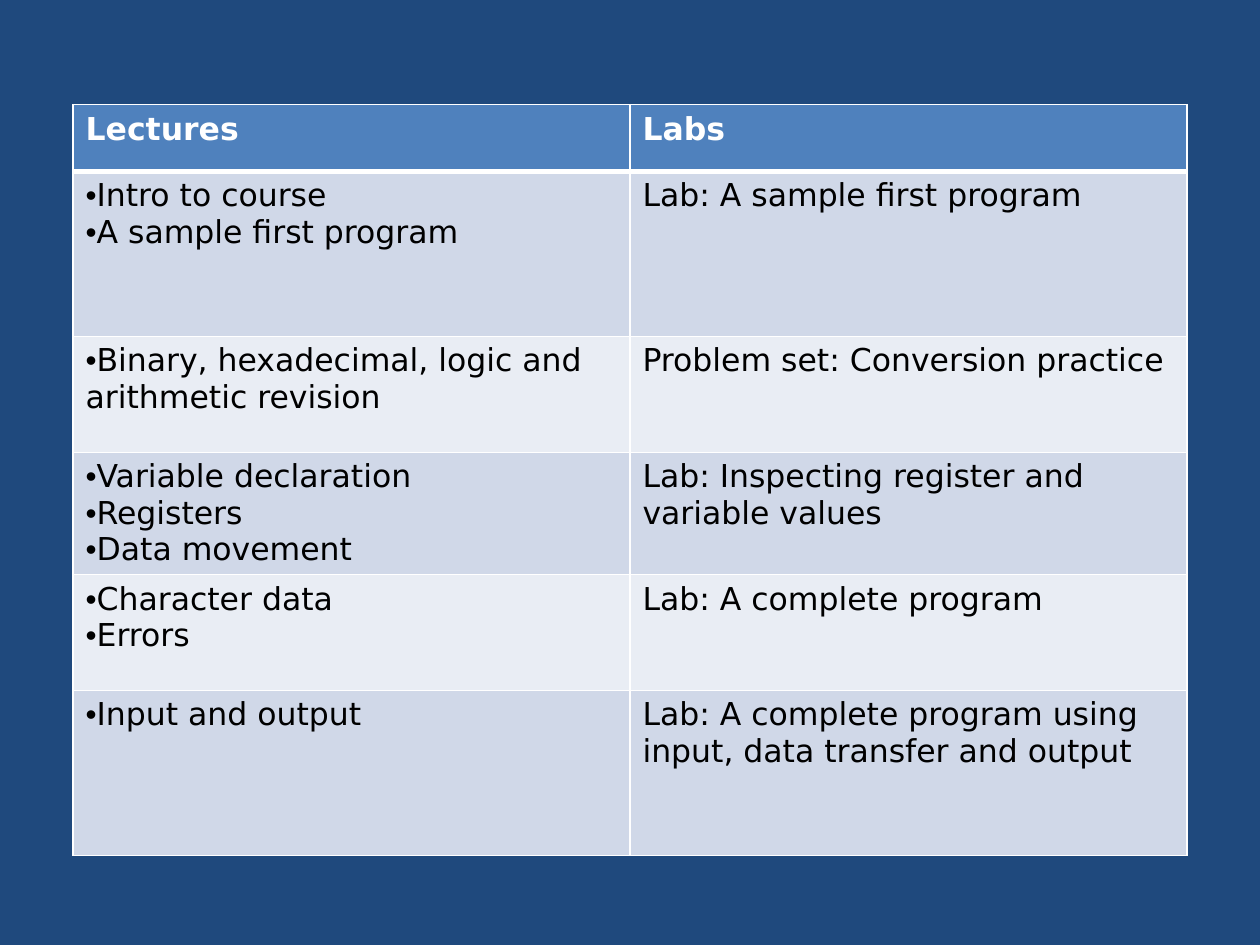
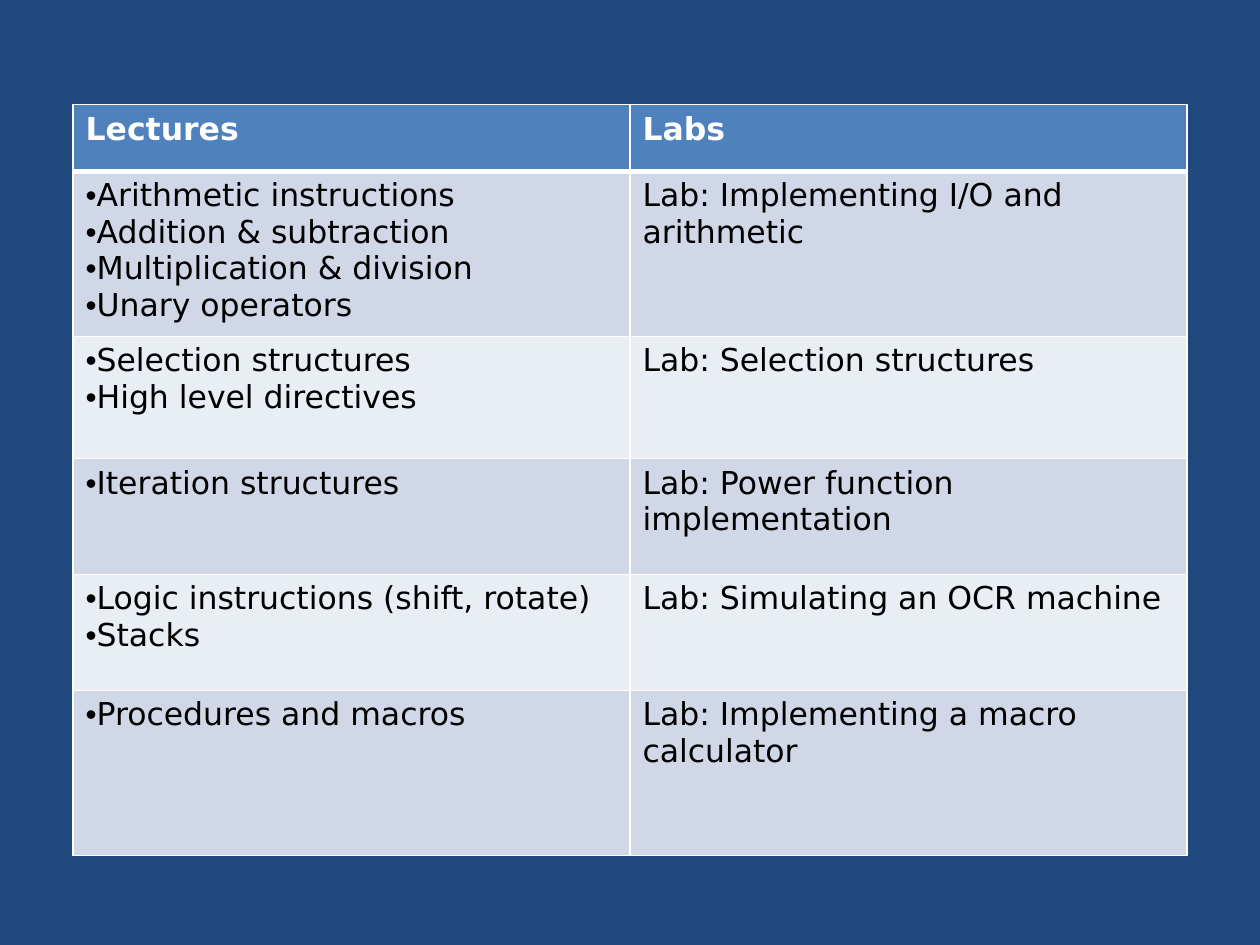
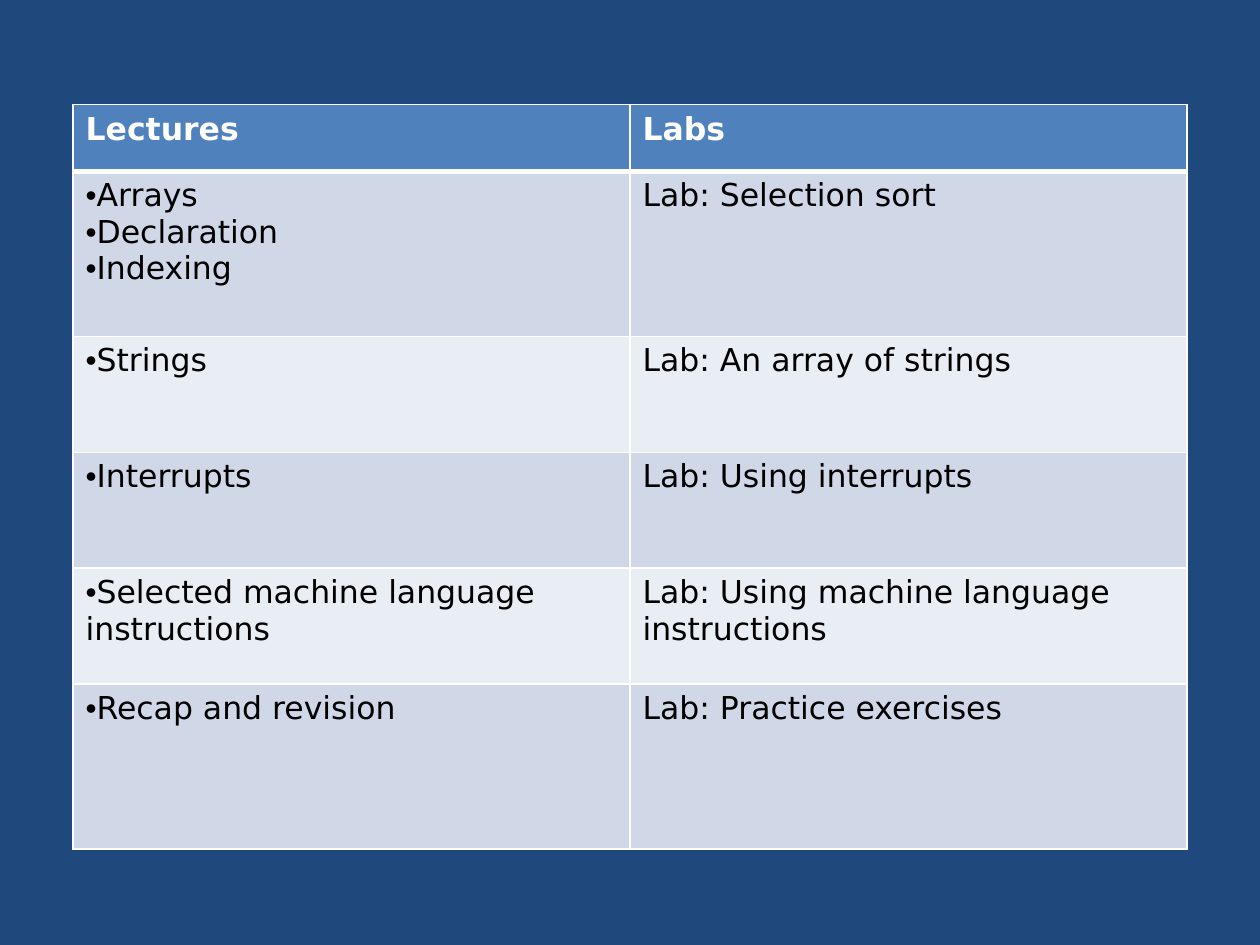
from lxml import etree
from pptx import Presentation
from pptx.dml.color import RGBColor
from pptx.oxml.ns import qn
from pptx.util import Inches, Pt

# Shared look
HUES = {"back": "1F497D", "head": "4F81BD", "odd": "D0D8E8",
        "even": "E9EDF4", "line": "FFFFFF", "text": "000000"}
FONT = "DejaVu Sans"
SIZE = Pt(18)
LEFT, TOP, COL = 0.58, 0.83, 4.42
ROWS = [0.53, 1.31, 0.92, 0.92, 0.92, 1.31]
TALL = 0.97
HEAD = (["Lectures"], "Labs")

# Each slide: the row that is stretched, then its lectures and labs
WEEKS = [
    (3, [
        (["Intro to course", "A sample first program"],
         "Lab: A sample first program"),
        (["Binary, hexadecimal, logic and arithmetic revision"],
         "Problem set: Conversion practice"),
        (["Variable declaration", "Registers", "Data movement"],
         "Lab: Inspecting register and variable values"),
        (["Character data", "Errors"], "Lab: A complete program"),
        (["Input and output"],
         "Lab: A complete program using input, data transfer and output"),
    ]),
    (2, [
        (["Arithmetic instructions", "Addition & subtraction",
          "Multiplication & division", "Unary operators"],
         "Lab: Implementing I/O and arithmetic"),
        (["Selection structures", "High level directives"],
         "Lab: Selection structures"),
        (["Iteration structures"], "Lab: Power function implementation"),
        (["Logic instructions (shift, rotate)", "Stacks"],
         "Lab: Simulating an OCR machine"),
        (["Procedures and macros"], "Lab: Implementing a macro calculator"),
    ]),
    (None, [
        (["Arrays", "Declaration", "Indexing"], "Lab: Selection sort"),
        (["Strings"], "Lab: An array of strings"),
        (["Interrupts"], "Lab: Using interrupts"),
        (["Selected machine language instructions"],
         "Lab: Using machine language instructions"),
        (["Recap and revision"], "Lab: Practice exercises"),
    ]),
]


def edge(cell, side, width):
    """Draw one side of a cell; sides must come in the order L, R, T, B."""
    line = etree.SubElement(cell._tc.get_or_add_tcPr(), qn("a:ln" + side),
                            w=str(Pt(width)))
    fill = etree.SubElement(line, qn("a:solidFill"))
    etree.SubElement(fill, qn("a:srgbClr"), val=HUES["line"])


def write(cell, lines, hue, bold, dots):
    """Fill a cell with one paragraph per line."""
    frame = cell.text_frame
    for i, line in enumerate(lines):
        para = frame.add_paragraph() if i else frame.paragraphs[0]
        if dots:
            props = para._p.get_or_add_pPr()
            etree.SubElement(props, qn("a:buFont"), typeface="Arial")
            etree.SubElement(props, qn("a:buChar"), char="•")
        run = para.add_run()
        run.text = line
        run.font.name = FONT
        run.font.size = SIZE
        run.font.bold = bold
        run.font.color.rgb = RGBColor.from_string(HUES[hue])


deck = Presentation()
deck.slide_width, deck.slide_height = Inches(10), Inches(7.5)

for tall, weeks in WEEKS:
    # Background
    slide = deck.slides.add_slide(deck.slide_layouts[6])
    back = slide.background.fill
    back.solid()
    back.fore_color.rgb = RGBColor.from_string(HUES["back"])

    # Table grid
    highs = [TALL if r == tall else high for r, high in enumerate(ROWS)]
    table = slide.shapes.add_table(
        len(ROWS), 2, Inches(LEFT), Inches(TOP),
        Inches(2 * COL), Inches(sum(highs))).table
    table.horz_banding = False
    for col in table.columns:
        col.width = Inches(COL)

    # Cells: header row, then banded rows
    for r, (talks, lab) in enumerate([HEAD] + weeks):
        table.rows[r].height = Inches(highs[r])
        band = "head" if r == 0 else "odd" if r % 2 else "even"
        for c, lines in enumerate((talks, [lab])):
            cell = table.cell(r, c)
            for side in "LRTB":
                thick = (r, side) in ((0, "B"), (1, "T"))
                edge(cell, side, 3 if thick else 1)
            cell.fill.solid()
            cell.fill.fore_color.rgb = RGBColor.from_string(HUES[band])
            write(cell, lines, "text" if r else "line",
                  r == 0, r > 0 and c == 0)

deck.save("out.pptx")
